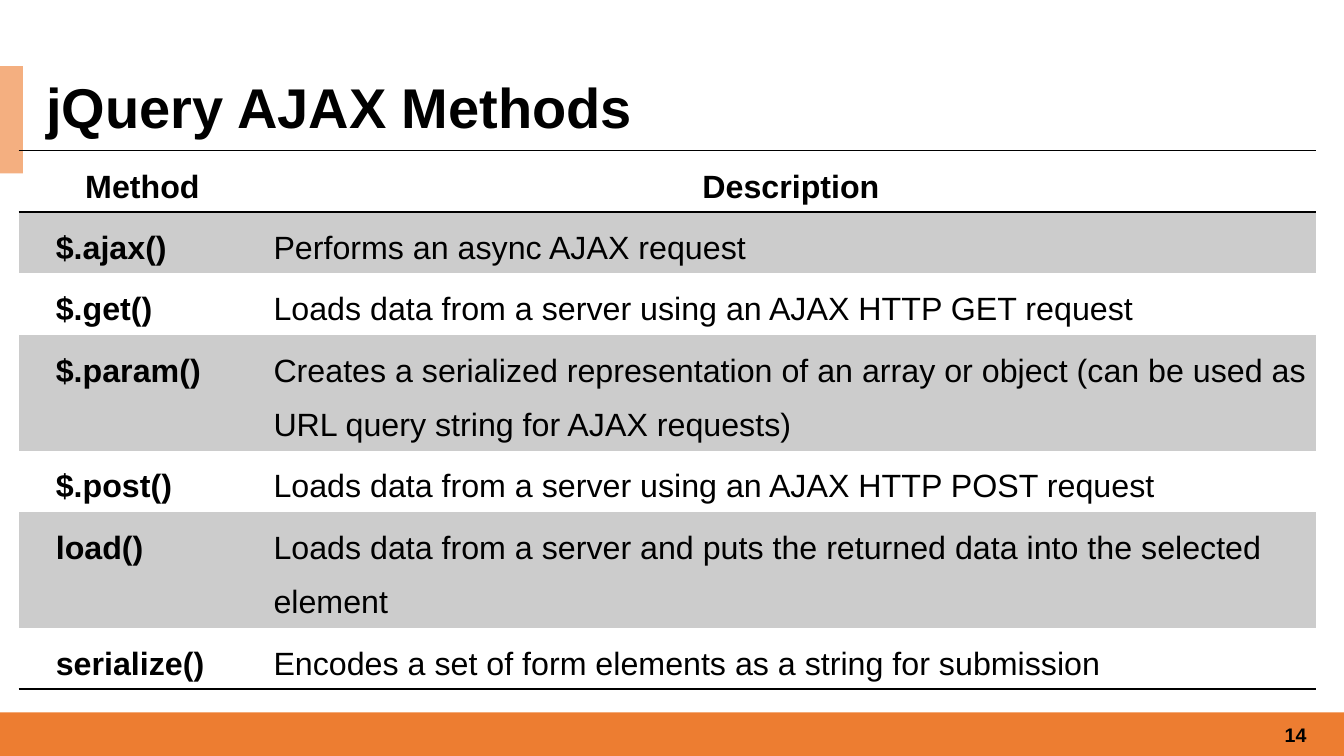
from dataclasses import dataclass

from lxml.etree import SubElement
from pptx import Presentation
from pptx.dml.color import RGBColor
from pptx.enum.shapes import MSO_SHAPE
from pptx.enum.text import MSO_ANCHOR, MSO_AUTO_SIZE, PP_ALIGN
from pptx.oxml.ns import qn
from pptx.util import Pt


@dataclass(frozen=True)
class Theme:
    font: str = "Arial"
    text: str = "000000"
    paper: str = "FFFFFF"
    band: str = "CCCCCC"
    footer: str = "ED7D31"
    accent: str = "F4AF80"
    title_size: int = 40
    table_size: int = 23
    number_size: int = 14


NO_GRID_STYLE = "{2D5ABB26-0587-4C30-8999-92F81FD0307C}"
WIDTH, HEIGHT = 960, 540
HEADER = ("Method", "Description")
METHODS = [
    ("$.ajax()", "Performs an async AJAX request"),
    ("$.get()", "Loads data from a server using an AJAX HTTP GET request"),
    ("$.param()", "Creates a serialized representation of an array or object "
                  "(can be used as URL query string for AJAX requests)"),
    ("$.post()", "Loads data from a server using an AJAX HTTP POST request"),
    ("load()", "Loads data from a server and puts the returned data into the selected element"),
    ("serialize()", "Encodes a set of form elements as a string for submission"),
]


class SlideBuilder:
    def __init__(self, prs, theme):
        self.theme = theme
        self.s = prs.slides.add_slide(prs.slide_layouts[5])

    def paint(self, fill, color):
        fill.solid()
        fill.fore_color.rgb = RGBColor.from_string(color)

    def add_text(self, p, text, size, bold=True, align=PP_ALIGN.LEFT, spacing=1.0):
        p.alignment = align
        p.line_spacing = spacing
        r = p.add_run()
        r.text = text
        r.font.name = self.theme.font
        r.font.size = Pt(size)
        r.font.bold = bold
        r.font.color.rgb = RGBColor.from_string(self.theme.text)

    def bar(self, x, y, w, h, color):
        sp = self.s.shapes.add_shape(MSO_SHAPE.RECTANGLE, Pt(x), Pt(y), Pt(w), Pt(h))
        sp.shadow.inherit = False
        sp.line.fill.background()
        self.paint(sp.fill, color)

    def title(self, text, x, y, w, h):
        sp = self.s.shapes.title
        sp.left, sp.top, sp.width, sp.height = Pt(x), Pt(y), Pt(w), Pt(h)
        self.paint(sp.fill, self.theme.paper)
        tf = sp.text_frame
        tf.auto_size = MSO_AUTO_SIZE.NONE
        tf.vertical_anchor = MSO_ANCHOR.MIDDLE
        self.add_text(tf.paragraphs[0], text, self.theme.title_size, spacing=0.9)

    def page_number(self, text, x, y, w, h):
        tf = self.s.shapes.add_textbox(Pt(x), Pt(y), Pt(w), Pt(h)).text_frame
        tf.word_wrap = True
        tf.vertical_anchor = MSO_ANCHOR.MIDDLE
        self.add_text(tf.paragraphs[0], text, self.theme.number_size, align=PP_ALIGN.RIGHT)

    def rule(self, cell, side):
        """Draw a 1 pt line on one side of a cell: "lnT" or "lnB"."""
        ln = SubElement(cell._tc.get_or_add_tcPr(), qn(f"a:{side}"), w=str(Pt(1)))
        SubElement(SubElement(ln, qn("a:solidFill")), qn("a:srgbClr"), val=self.theme.text)

    def table(self, header, body, x, y, col_widths, row_height):
        rows = [header, *body]
        frame = self.s.shapes.add_table(len(rows), len(header), Pt(x), Pt(y),
                                        Pt(sum(col_widths)), Pt(row_height * len(rows)))
        table = frame.table
        table.first_row = table.horz_banding = False
        table._tbl.tblPr.find(qn("a:tableStyleId")).text = NO_GRID_STYLE
        for column, width in zip(table.columns, col_widths):
            column.width = Pt(width)
        for i, row in enumerate(rows):
            table.rows[i].height = Pt(row_height)
            for j, text in enumerate(row):
                self.cell(table.cell(i, j), text, i, j, last=i == len(body))

    def cell(self, cell, text, i, j, last):
        is_header = i == 0
        cell.margin_left = cell.margin_right = Pt(5)
        cell.margin_top = cell.margin_bottom = 0
        if is_header:
            self.rule(cell, "lnT")
        if is_header or last:
            self.rule(cell, "lnB")
        if i % 2:
            self.paint(cell.fill, self.theme.band)
        p = cell.text_frame.paragraphs[0]
        self.add_text(p, text, self.theme.table_size, bold=is_header or j == 0,
                      align=PP_ALIGN.CENTER if is_header else PP_ALIGN.LEFT, spacing=1.5)
        pPr = p._p.get_or_add_pPr()
        pPr.set("marL", str(Pt(21.6)))
        pPr.set("indent", "0")


def main():
    prs = Presentation()
    prs.slide_width, prs.slide_height = Pt(WIDTH), Pt(HEIGHT)
    theme = Theme()
    slide = SlideBuilder(prs, theme)
    slide.bar(0, 508.8, WIDTH, HEIGHT - 508.8, theme.footer)
    slide.bar(0, 47.3, 16.4, 76.5, theme.accent)
    slide.title("jQuery AJAX Methods", 26, 53.3, WIDTH - 26, 51)
    slide.page_number("14", 724.3, 510.5, 216, 28.8)
    slide.table(HEADER, METHODS, 13.3, 107.7, (155.5, 771), 43.8)
    prs.save("out.pptx")


if __name__ == "__main__":
    main()
